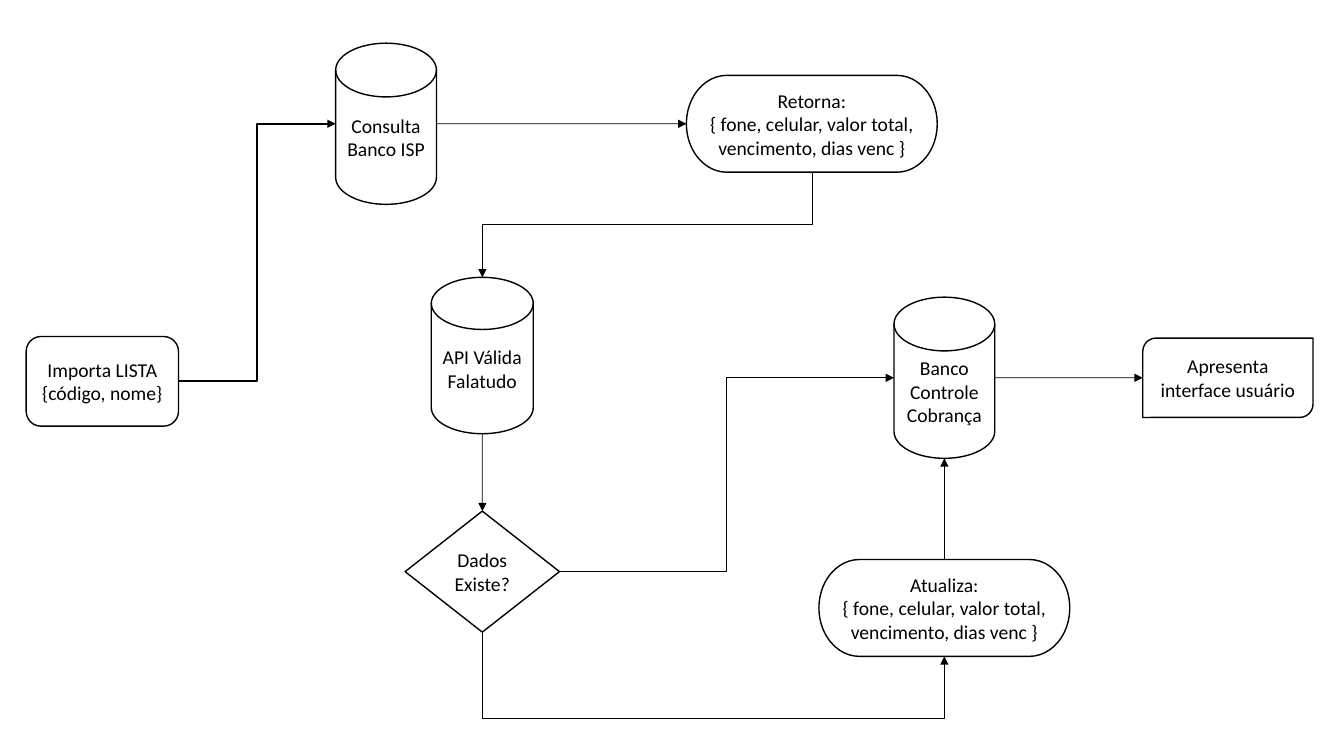
import pptx
import pptx.util
import pptx.dml.color
import pptx.enum.shapes
import pptx.enum.text
import pptx.oxml.ns
import lxml.etree

Cm, Pt = pptx.util.Cm, pptx.util.Pt
KIND = pptx.enum.shapes.MSO_SHAPE
LINK = pptx.enum.shapes.MSO_CONNECTOR
HUES = {"ink": "000000", "paper": "FFFFFF"}
CAN, PILL = KIND.FLOWCHART_MAGNETIC_DISK, KIND.FLOWCHART_TERMINATOR
SITES = {CAN: "ctlbr", KIND.ROUND_2_DIAG_RECTANGLE: "rblt"}
FIELDS = "{ fone, celular, valor total, vencimento, dias venc }"

NODES = {
    "import": (KIND.ROUNDED_RECTANGLE, 0.66, 8.48, 3.84, 2.26, "Importa LISTA {código, nome}"),
    "query": (CAN, 8.46, 1.09, 2.54, 4.06, "Consulta Banco ISP"),
    "return": (PILL, 17.3, 1.9, 6.32, 2.44, "Retorna:\n" + FIELDS),
    "check": (CAN, 10.87, 6.99, 2.57, 3.94, "API Válida Falatudo"),
    "choice": (KIND.FLOWCHART_DECISION, 10.21, 12.88, 3.89, 3.05, "Dados Existe?"),
    "bank": (CAN, 22.53, 7.49, 2.54, 4.06, "Banco Controle Cobrança"),
    "update": (PILL, 20.64, 14.1, 6.32, 2.44, "Atualiza:\n" + FIELDS),
    "show": (KIND.ROUND_2_DIAG_RECTANGLE, 28.8, 8.52, 4.29, 2, "Apresenta interface usuário"),
}
LINKS = [
    ("import", "r", "query", "l", 1.5, 0.5),
    ("query", "r", "return", "l", 0.5, 0.5),
    ("return", "b", "check", "t", 0.5, 0.5),
    ("check", "b", "choice", "t", 0.5, 0.5),
    ("choice", "r", "bank", "l", 0.5, 0.5),
    ("choice", "b", "update", "b", 0.5, 3.58),
    ("bank", "r", "show", "l", 0.5, 0.5),
    ("update", "t", "bank", "b", 0.5, 0.5),
]


def hue(name):
    """Return a named colour."""
    return pptx.dml.color.RGBColor.from_string(HUES[name])


def tag(owner, label, **attrs):
    """Append a drawing element and return it."""
    return lxml.etree.SubElement(owner, pptx.oxml.ns.qn("a:" + label), attrs)


def write(frame, text, size=14, font="Calibri", color="ink"):
    """Fill a text frame with centred, formatted paragraphs."""
    frame.word_wrap = True
    frame.vertical_anchor = pptx.enum.text.MSO_ANCHOR.MIDDLE
    frame.text = text
    for para in frame.paragraphs:
        para.alignment = pptx.enum.text.PP_ALIGN.CENTER
        para.font.size, para.font.name = Pt(size), font
        para.font.color.rgb = hue(color)


def node(slide, kind, left, top, width, height, text):
    """Draw one outlined step of the flow."""
    shape = slide.shapes.add_shape(kind, Cm(left), Cm(top), Cm(width), Cm(height))
    shape.shadow.inherit = False
    shape.fill.solid()
    shape.fill.fore_color.rgb = hue("paper")
    shape.line.color.rgb = hue("ink")
    shape.line.width = Pt(1)
    write(shape.text_frame, text)
    return shape


def point(shape, side):
    """Return the middle of one side of a shape."""
    across = {"l": 0, "r": 2}.get(side, 1)
    down = {"t": 0, "b": 2}.get(side, 1)
    return shape.left + shape.width * across // 2, shape.top + shape.height * down // 2


def glue(line, label, shape, side):
    """Attach one end of a connector to a side of a shape."""
    site = SITES.get(shape.auto_shape_type, "tlbr").index(side)
    owner = line._element.nvCxnSpPr.cNvCxnSpPr
    tag(owner, label, id=str(shape.shape_id), idx=str(site))


def join(slide, start, out, end, into, weight, bend):
    """Draw an arrow between two steps, turning it when it leaves downwards."""
    (x1, y1), (x2, y2) = point(start, out), point(end, into)
    straight = min(abs(x2 - x1), abs(y2 - y1)) < Cm(0.05)
    turned = out == "b" and not straight
    if turned:
        midx, midy = (x1 + x2) // 2, (y1 + y2) // 2
        rise, run = (y2 - y1) // 2, (x1 - x2) // 2
        x1, y1, x2, y2 = midx - rise, midy - run, midx + rise, midy + run
    kind = LINK.STRAIGHT if straight else LINK.ELBOW
    line = slide.shapes.add_connector(kind, x1, y1, x2, y2)
    line.line.color.rgb = hue("ink")
    line.line.width = Pt(weight)
    props = line._element.spPr
    if turned:
        props.find(pptx.oxml.ns.qn("a:xfrm")).set("rot", "5400000")
    if bend != 0.5:
        guides = props.find(pptx.oxml.ns.qn("a:prstGeom")).find(pptx.oxml.ns.qn("a:avLst"))
        tag(guides, "gd", name="adj1", fmla=f"val {round(bend * 100000)}")
    tag(line.line._get_or_add_ln(), "tailEnd", type="triangle")
    tag(props, "effectLst")
    glue(line, "stCxn", start, out)
    glue(line, "endCxn", end, into)


def flow(slide, left, top):
    """Draw the whole flow from the given corner."""
    steps = {
        name: node(slide, kind, left + x, top + y, width, height, text)
        for name, (kind, x, y, width, height, text) in NODES.items()
    }
    for start, out, end, into, weight, bend in LINKS:
        join(slide, steps[start], out, steps[end], into, weight, bend)


def main():
    """Build and save the deck."""
    deck = pptx.Presentation()
    deck.slide_width, deck.slide_height = Cm(33.87), Cm(19.05)
    flow(deck.slides.add_slide(deck.slide_layouts[6]), 0, 0)
    deck.save("out.pptx")


main()
